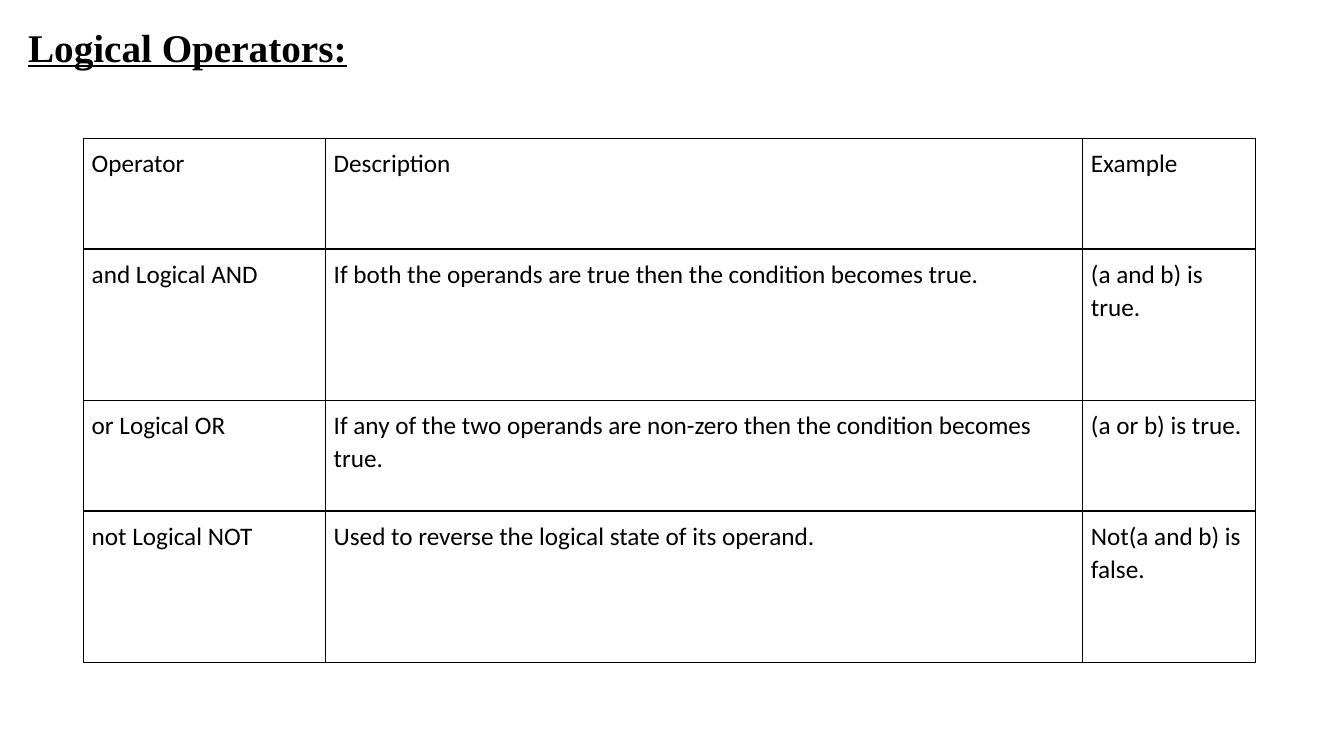
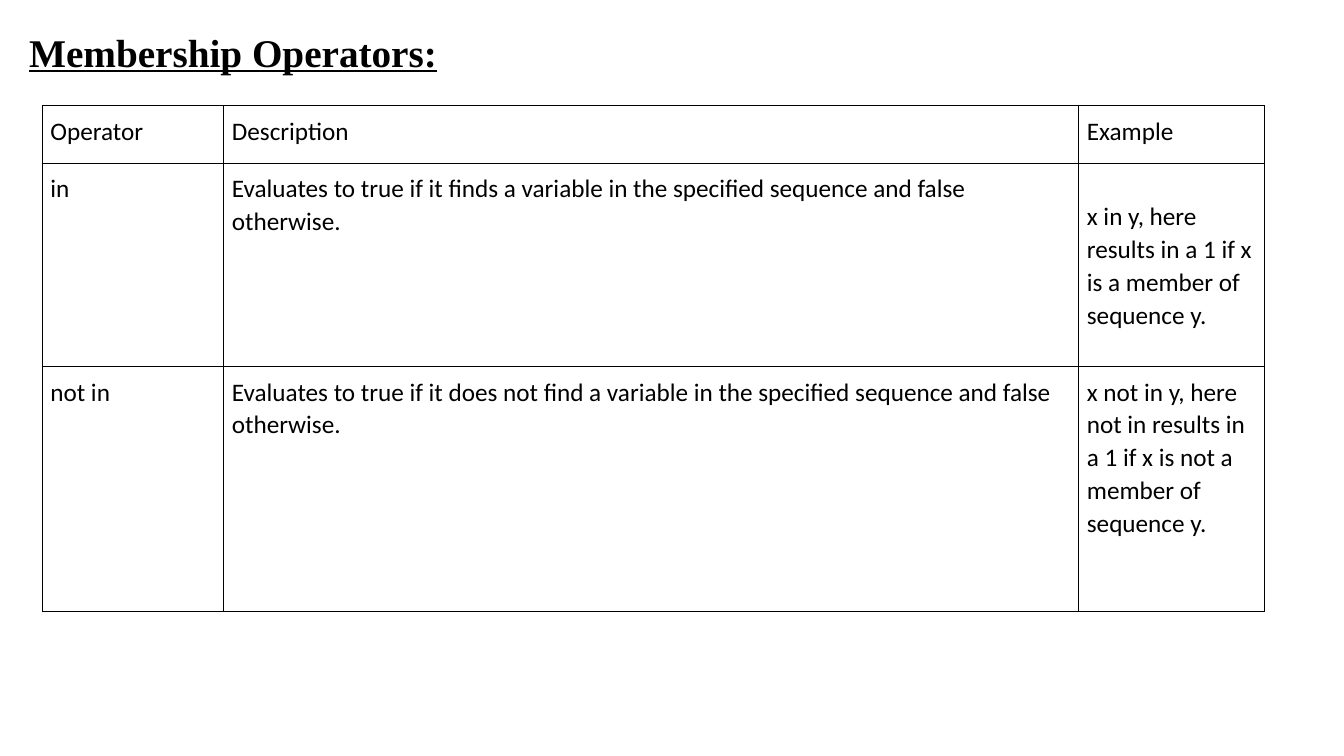
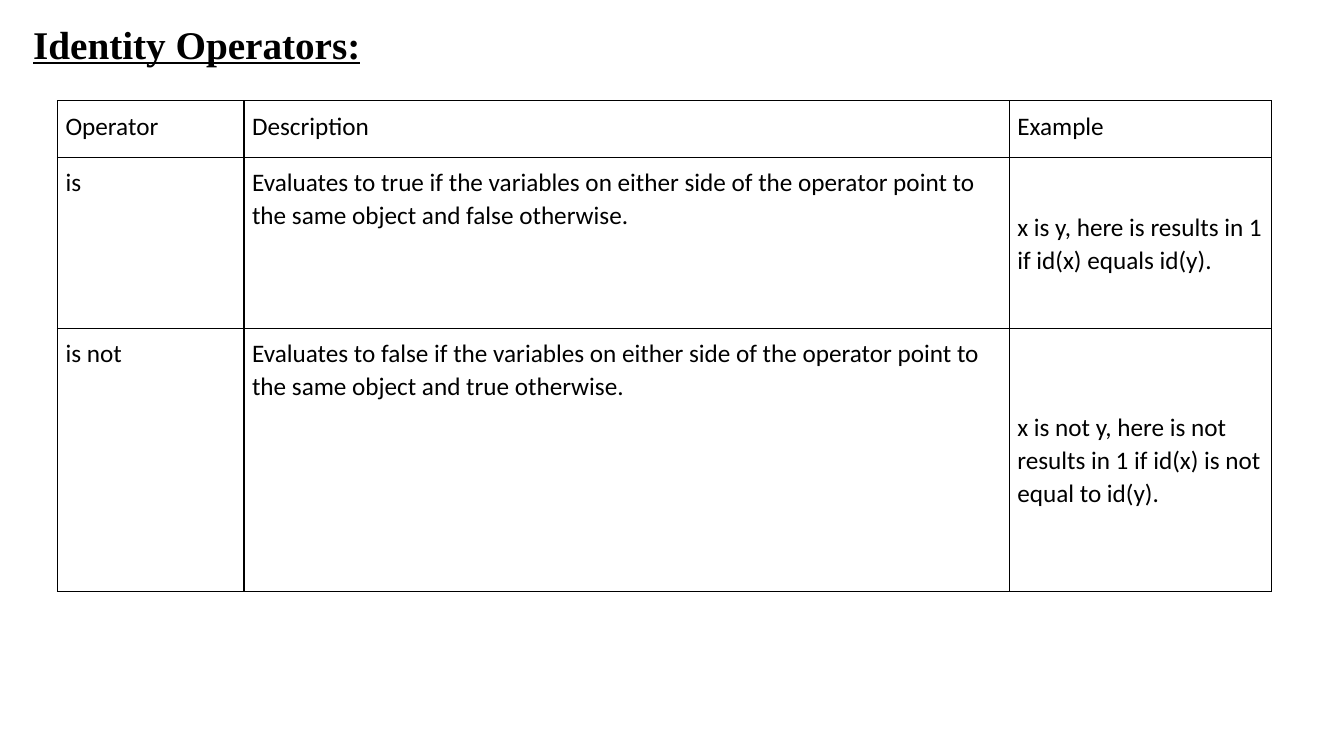
from lxml.etree import SubElement
from pptx import Presentation
from pptx.dml.color import RGBColor
from pptx.enum.text import MSO_ANCHOR
from pptx.oxml.ns import qn
from pptx.util import Pt

PX = 9144
COLORS = {"text": "000000", "border": "000000", "background": "FFFFFF"}
TITLE_FONT = "Times New Roman"
TABLE_FONT = "Calibri"
CELL_INSET = 8
HEADER = ("Operator", "Description", "Example")

SLIDES = [
    {
        "title": "Logical Operators:",
        "title_box": (18, 23, 1219, 705),
        "table_corner": (83, 137),
        "columns": (240, 751, 171),
        "rows": (110, 150, 110, 150),
        "middle_cells": (),
        "body": [
            ("and Logical AND",
             "If both the operands are true then the condition becomes true.",
             "(a and b) is true."),
            ("or Logical OR",
             "If any of the two operands are non-zero then the condition becomes true.",
             "(a or b) is true."),
            ("not Logical NOT",
             "Used to reverse the logical state of its operand.",
             "Not(a and b) is false."),
        ],
    },
    {
        "title": "Membership Operators:",
        "title_box": (19, 28, 1222, 699),
        "table_corner": (42, 105),
        "columns": (180, 848, 184),
        "rows": (57, 202, 243),
        "middle_cells": ((1, 2),),
        "body": [
            ("in",
             "Evaluates to true if it finds a variable in the specified sequence and false otherwise.",
             "x in y, here results in a 1 if x is a member of sequence y."),
            ("not in",
             "Evaluates to true if it does not find a variable in the specified sequence and false otherwise.",
             "x not in y, here not in results in a 1 if x is not a member of sequence y."),
        ],
    },
    {
        "title": "Identity Operators:",
        "title_box": (23, 20, 1218, 711),
        "table_corner": (57, 100),
        "columns": (185, 759, 260),
        "rows": (56, 170, 261),
        "middle_cells": ((1, 2), (2, 2)),
        "body": [
            ("is",
             "Evaluates to true if the variables on either side of the operator point to the same object and false otherwise.",
             "x is y, here is results in 1 if id(x) equals id(y)."),
            ("is not",
             "Evaluates to false if the variables on either side of the operator point to the same object and true otherwise.",
             "x is not y, here is not results in 1 if id(x) is not equal to id(y)."),
        ],
    },
]


def px(length):
    return length * PX


def style_text(paragraph, font_name, size, line_spacing):
    paragraph.line_spacing = line_spacing
    for run in paragraph.runs:
        run.font.name = font_name
        run.font.size = Pt(size)
        run.font.color.rgb = RGBColor.from_string(COLORS["text"])


def add_title(slide, text, box):
    shape = slide.shapes.add_textbox(*map(px, box))
    shape.text_frame.word_wrap = True
    shape.text_frame.text = text
    paragraph = shape.text_frame.paragraphs[0]
    style_text(paragraph, TITLE_FONT, 28, 0.9)
    for run in paragraph.runs:
        run.font.bold = True
        run.font.underline = True


def add_borders(cell):
    properties = cell._tc.get_or_add_tcPr()
    for index, side in enumerate(("lnL", "lnR", "lnT", "lnB")):
        line = properties.makeelement(qn(f"a:{side}"), {"w": str(Pt(1))})
        properties.insert(index, line)
        fill = SubElement(line, qn("a:solidFill"))
        SubElement(fill, qn("a:srgbClr"), val=COLORS["border"])


def fill_cell(cell, text, anchor):
    cell.text_frame.text = text
    cell.vertical_anchor = anchor
    cell.margin_left = cell.margin_right = px(CELL_INSET)
    cell.margin_top = cell.margin_bottom = px(CELL_INSET)
    cell.fill.background()
    add_borders(cell)
    paragraph = cell.text_frame.paragraphs[0]
    paragraph.space_after = Pt(8)
    style_text(paragraph, TABLE_FONT, 18, 1.07)


def add_operator_table(slide, corner, columns, rows, body, middle_cells):
    left, top = corner
    table = slide.shapes.add_table(
        len(rows), len(columns),
        px(left), px(top), px(sum(columns)), px(sum(rows)),
    ).table
    table.first_row = False
    table.horz_banding = False
    for column, width in zip(table.columns, columns):
        column.width = px(width)
    for row, height in zip(table.rows, rows):
        row.height = px(height)
    for row_index, texts in enumerate([HEADER, *body]):
        for column_index, text in enumerate(texts):
            position = (row_index, column_index)
            anchor = MSO_ANCHOR.MIDDLE if position in middle_cells else MSO_ANCHOR.TOP
            fill_cell(table.cell(*position), text, anchor)


def add_operator_slide(presentation, content):
    slide = presentation.slides.add_slide(presentation.slide_layouts[6])
    add_title(slide, content["title"], content["title_box"])
    add_operator_table(
        slide, content["table_corner"], content["columns"], content["rows"],
        content["body"], content["middle_cells"],
    )


def main():
    presentation = Presentation()
    presentation.slide_width = px(1333)
    presentation.slide_height = px(750)
    background = presentation.slide_master.background.fill
    background.solid()
    background.fore_color.rgb = RGBColor.from_string(COLORS["background"])
    for content in SLIDES:
        add_operator_slide(presentation, content)
    presentation.save("out.pptx")


if __name__ == "__main__":
    main()
